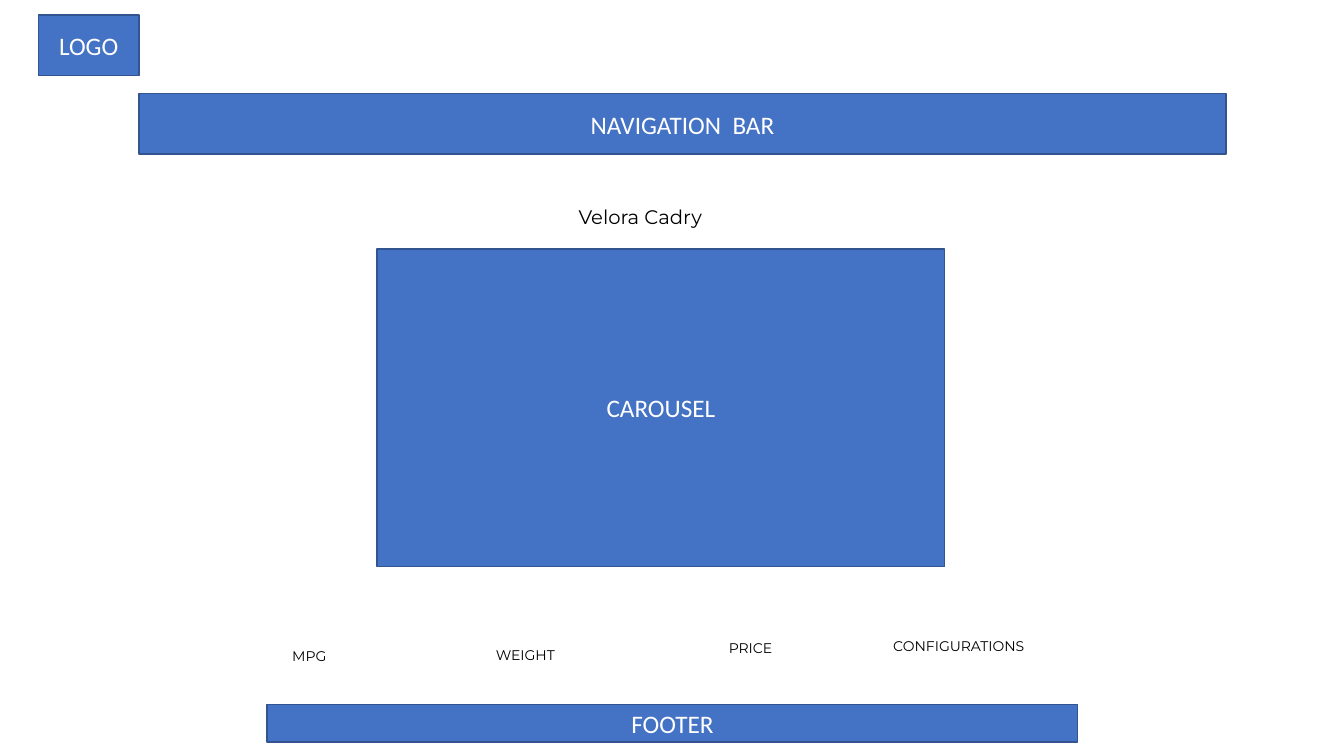
import pptx
import pptx.util
import pptx.dml.color
import pptx.enum.shapes
import pptx.enum.text

Inches = pptx.util.Inches
Pt = pptx.util.Pt
ALIGN = pptx.enum.text.PP_ALIGN
ANCHOR = pptx.enum.text.MSO_ANCHOR


def rgb(value):
    return pptx.dml.color.RGBColor.from_string(value)


def write(tf, text, size=18, font="Calibri", color="FFFFFF", align=ALIGN.LEFT):
    p = tf.paragraphs[0]
    p.alignment = align
    r = p.add_run()
    r.text = text
    r.font.size = Pt(size)
    r.font.name = font
    r.font.color.rgb = rgb(color)


class Wireframe:
    fill = "4472C4"
    line = "325491"
    ink = "000000"
    label_font = "Montserrat"

    def __init__(self, prs):
        self.s = prs.slides.add_slide(prs.slide_layouts[6])

    def block(self, text, *box):
        sp = self.s.shapes.add_shape(
            pptx.enum.shapes.MSO_SHAPE.RECTANGLE, *map(Inches, box))
        sp.shadow.inherit = False
        sp.fill.solid()
        sp.fill.fore_color.rgb = rgb(self.fill)
        sp.line.color.rgb = rgb(self.line)
        sp.line.width = Pt(1)
        sp.text_frame.vertical_anchor = ANCHOR.MIDDLE
        write(sp.text_frame, text, align=ALIGN.CENTER)

    def label(self, text, *box, size=10):
        sp = self.s.shapes.add_textbox(*map(Inches, box))
        tf = sp.text_frame
        tf.word_wrap = False
        tf.auto_size = pptx.enum.text.MSO_AUTO_SIZE.SHAPE_TO_FIT_TEXT
        write(tf, text, size=size, font=self.label_font, color=self.ink)


prs = pptx.Presentation()
prs.slide_width = Inches(13.33)
prs.slide_height = Inches(7.5)
page = Wireframe(prs)

page.block("NAVIGATION  BAR", 1.38, 0.93, 10.78, 0.6)
page.block("LOGO", 0.38, 0.15, 1, 0.6)
page.block("CAROUSEL", 3.74, 2.47, 5.63, 3.15)
page.block("FOOTER", 2.65, 6.99, 8.04, 0.37)

page.label("Velora Cadry", 5.64, 1.98, 1.69, 0.34, size=14)
for text, left, top, width in [
    ("MPG", 2.8, 6.37, 0.55),
    ("WEIGHT", 4.82, 6.36, 0.83),
    ("PRICE", 7.13, 6.3, 0.68),
    ("CONFIGURATIONS", 8.76, 6.28, 1.64),
]:
    page.label(text, left, top, width, 0.27)

prs.save("out.pptx")
